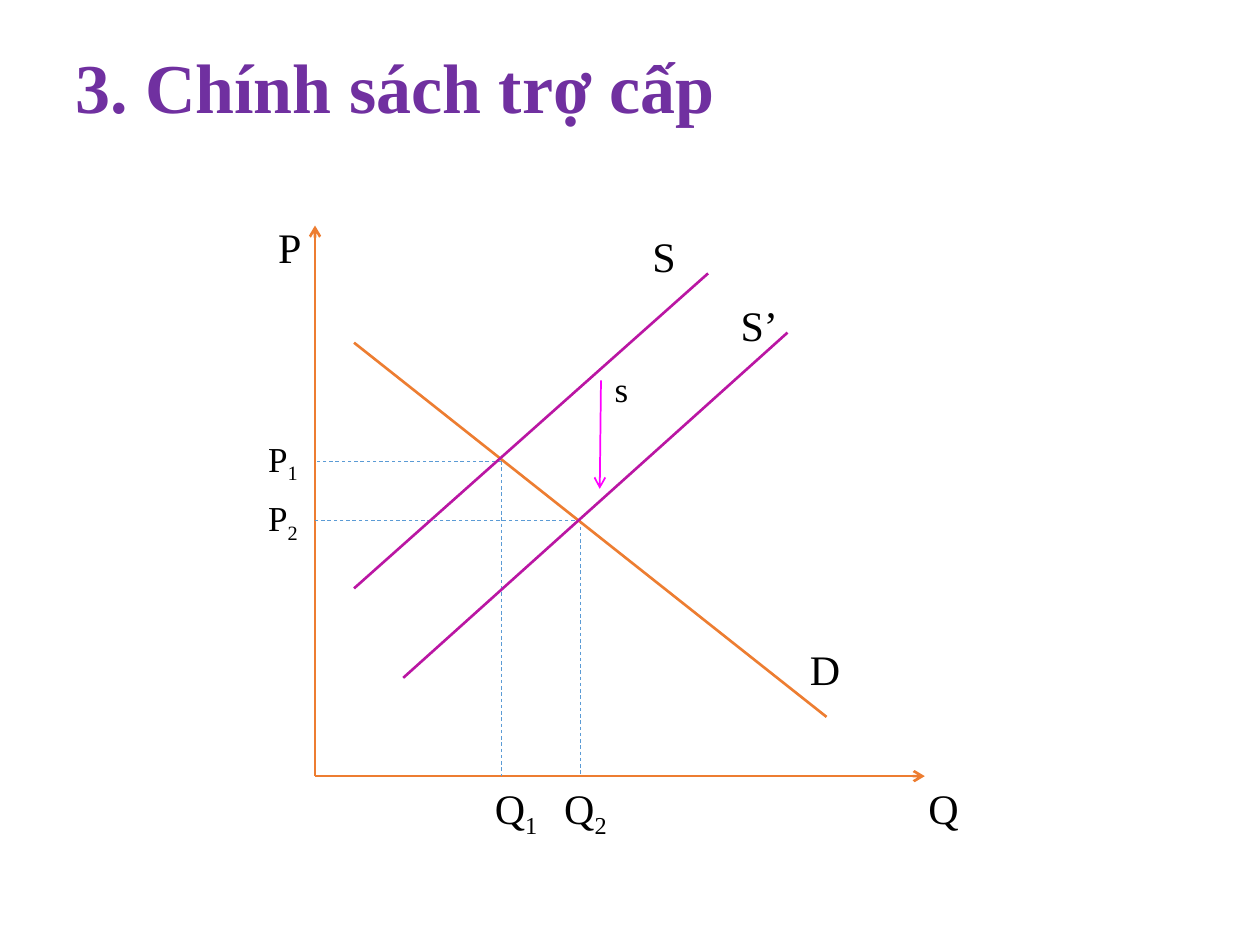
from lxml.etree import SubElement
from pptx import Presentation
from pptx.dml.color import RGBColor
from pptx.enum.dml import MSO_LINE
from pptx.enum.shapes import MSO_CONNECTOR
from pptx.enum.text import MSO_ANCHOR
from pptx.oxml.ns import qn
from pptx.util import Inches, Pt

FONT = "Times New Roman"
PURPLE = RGBColor(0x70, 0x30, 0xA0)
ORANGE = RGBColor(0xED, 0x7D, 0x31)
VIOLET = RGBColor(0xBA, 0x16, 0xA3)
BLUE = RGBColor(0x5B, 0x9B, 0xD5)
MAGENTA = RGBColor(0xFF, 0x00, 0xFF)
BLACK = RGBColor(0, 0, 0)

# Slide and axes, in inches
WIDTH, HEIGHT = 10, 7.5
ORIGIN_X, ORIGIN_Y = 2.5, 6.16
AXIS_TOP, AXIS_RIGHT = 1.79, 7.34

# Equilibria: number, quantity position, price position, left of the Q label
EQUILIBRIA = [(2, 4.61, 4.13, 4.38), (1, 3.98, 3.66, 3.83)]


def add_line(slide, start, end, color, weight=1.5, arrow=False, dashed=False):
    line = slide.shapes.add_connector(
        MSO_CONNECTOR.STRAIGHT, *(Inches(v) for v in (*start, *end)))
    line.line.color.rgb = color
    line.line.width = Pt(weight)
    if dashed:
        line.line.dash_style = MSO_LINE.DASH
    if arrow:
        SubElement(line.line._get_or_add_ln(), qn("a:tailEnd"), type="arrow")
    SubElement(line._element.spPr, qn("a:effectLst"))


def add_label(slide, left, top, width, text, subscript="", size=24):
    box = slide.shapes.add_textbox(
        Inches(left), Inches(top), Inches(width), Inches(size / 60 + 0.1))
    box.text_frame.word_wrap = False
    paragraph = box.text_frame.paragraphs[0]
    paragraph.text = text
    if subscript:
        index = paragraph.add_run()
        index.text = str(subscript)
        index.font._element.set("baseline", "-25000")
    for run in paragraph.runs:
        run.font.name = FONT
        run.font.size = Pt(size)
        run.font.color.rgb = BLACK


def add_title(slide, text):
    title = slide.shapes.add_textbox(
        Inches(0.05 * WIDTH), Inches(0.29), Inches(0.9 * WIDTH), Inches(0.87))
    title.text_frame.word_wrap = True
    title.text_frame.vertical_anchor = MSO_ANCHOR.MIDDLE
    paragraph = title.text_frame.paragraphs[0]
    paragraph.text = text
    paragraph.line_spacing = 0.9
    font = paragraph.runs[0].font
    font.name, font.size, font.bold = FONT, Pt(40), True
    font.color.rgb = PURPLE


def add_equilibrium(slide, number, x, y, label_left):
    for foot in ((x, ORIGIN_Y), (ORIGIN_X, y)):
        add_line(slide, (x, y), foot, BLUE, weight=0.5, dashed=True)
    add_label(slide, 2.03, y - 0.24, 0.45, "P", number, size=20)
    add_label(slide, label_left, ORIGIN_Y, 0.56, "Q", number)


def main():
    deck = Presentation()
    deck.slide_width, deck.slide_height = Inches(WIDTH), Inches(HEIGHT)
    slide = deck.slides.add_slide(deck.slide_layouts[6])

    add_title(slide, "3. Chính sách trợ cấp")

    # Axes
    for tip in ((ORIGIN_X, AXIS_TOP), (AXIS_RIGHT, ORIGIN_Y)):
        add_line(slide, (ORIGIN_X, ORIGIN_Y), tip, ORANGE, arrow=True)

    # Equilibrium guides
    for equilibrium in EQUILIBRIA:
        add_equilibrium(slide, *equilibrium)

    # Demand, shifted supply and first supply
    add_line(slide, (2.81, 2.72), (6.56, 5.69), ORANGE)
    add_line(slide, (3.2, 5.38), (6.25, 2.64), VIOLET)
    add_line(slide, (2.81, 4.67), (5.62, 2.17), VIOLET)

    # Subsidy per unit
    add_line(slide, (4.77, 3.02), (4.76, 3.88), MAGENTA, weight=1, arrow=True)
    add_label(slide, 4.78, 2.87, 0.31, "s", size=20)

    # Names of axes and curves
    for left, top, width, name in (
            (2.11, 1.71, 0.39, "P"), (7.27, ORIGIN_Y, 0.45, "Q"),
            (5.08, 1.78, 0.39, "S"), (5.78, 2.33, 0.5, "S’"),
            (6.33, 5.06, 0.45, "D")):
        add_label(slide, left, top, width, name)

    deck.save("out.pptx")


main()
